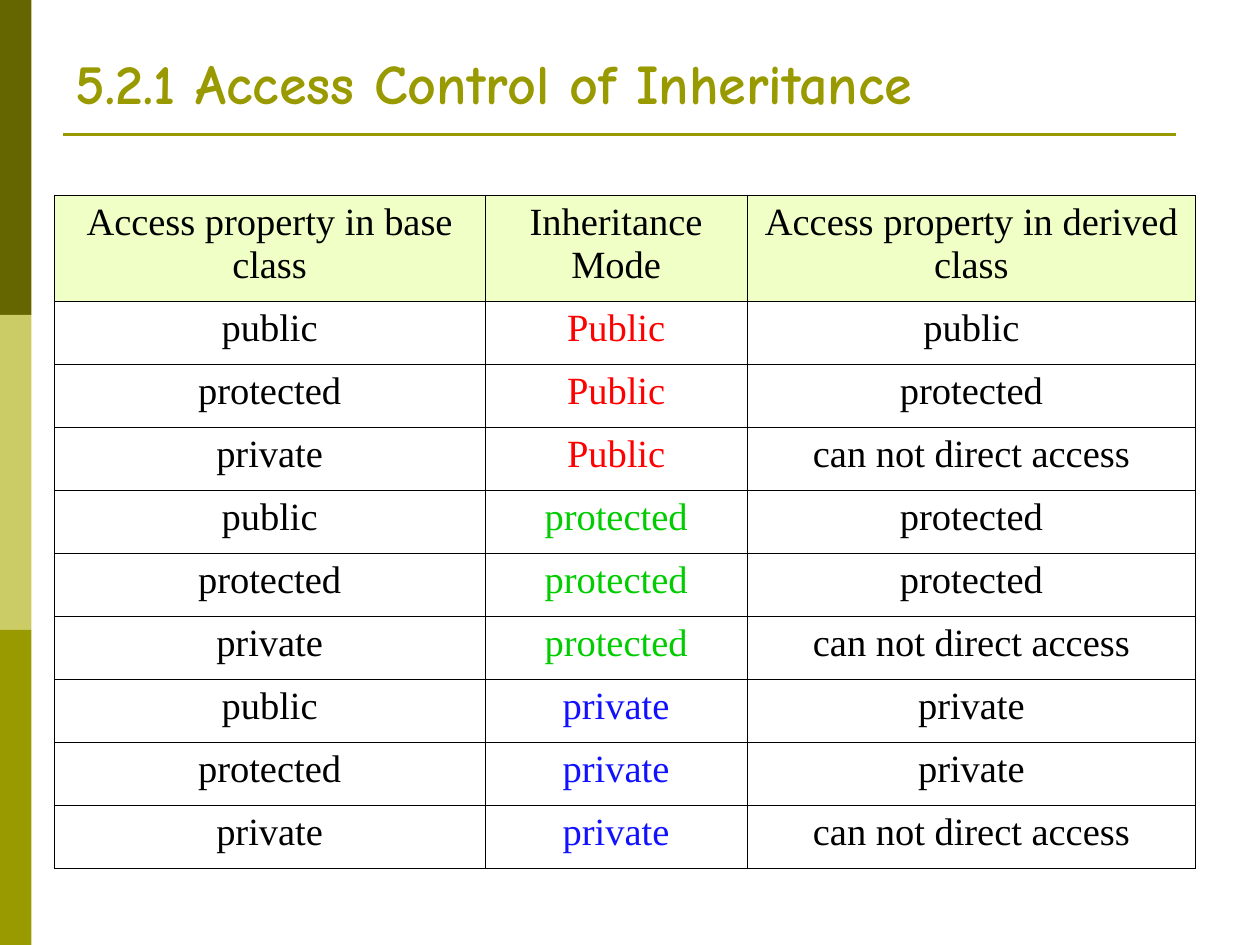
import dataclasses

import pptx
import pptx.dml.color
import pptx.enum.shapes
import pptx.enum.text
import pptx.oxml
import pptx.oxml.ns
import pptx.oxml.xmlchemy
import pptx.util

Inches = pptx.util.Inches
Pt = pptx.util.Pt
ALIGN = pptx.enum.text.PP_ALIGN
ANCHOR = pptx.enum.text.MSO_ANCHOR


@dataclasses.dataclass(frozen=True)
class Theme:
    dark_olive: str = "666600"
    light_olive: str = "CCCC66"
    olive: str = "999900"
    header_fill: str = "F0FFC5"
    text: str = "000000"
    red: str = "FF0000"
    green: str = "00CC00"
    blue: str = "1111FF"
    title_font: str = "Comic Neue"
    body_font: str = "Times New Roman"
    title_size: float = 32
    body_size: float = 22
    rule_width: float = 1.5
    border_width: float = 0.45


THEME = Theme()
HEADINGS = ["Access property in base class", "Inheritance Mode",
            "Access property in derived class"]
BASE_ACCESS = ["public", "protected", "private"]
HIDDEN = "can not direct access"
MODES = [
    ("Public", THEME.red, ["public", "protected", HIDDEN]),
    ("protected", THEME.green, ["protected", "protected", HIDDEN]),
    ("private", THEME.blue, ["private", "private", HIDDEN]),
]


def rgb(color):
    return pptx.dml.color.RGBColor.from_string(color)


def write_text(frame, text, *, font, size, color, bold=False, align=ALIGN.LEFT):
    para = frame.paragraphs[0]
    para.alignment = align
    span = para.add_run()
    span.text = text
    span.font.name = font
    span.font.size = Pt(size)
    span.font.bold = bold
    span.font.color.rgb = rgb(color)


class SlideBuilder:
    def __init__(self, slide, theme):
        self.slide = slide
        self.theme = theme

    def title(self, text, left, top, width, height):
        box = self.slide.shapes.title
        box.left, box.top = Inches(left), Inches(top)
        box.width, box.height = Inches(width), Inches(height)
        frame = box.text_frame
        frame.auto_size = pptx.enum.text.MSO_AUTO_SIZE.NONE
        frame.word_wrap = True
        frame.vertical_anchor = ANCHOR.BOTTOM
        write_text(frame, text, font=self.theme.title_font, bold=True,
                   size=self.theme.title_size, color=self.theme.olive)

    def band(self, color, left, top, width, height):
        shape = self.slide.shapes.add_shape(
            pptx.enum.shapes.MSO_SHAPE.RECTANGLE,
            Inches(left), Inches(top), Inches(width), Inches(height))
        shape.shadow.inherit = False
        shape.fill.solid()
        shape.fill.fore_color.rgb = rgb(color)
        shape.line.fill.background()

    def rule(self, left, right, y):
        line = self.slide.shapes.add_connector(
            pptx.enum.shapes.MSO_CONNECTOR.STRAIGHT,
            Inches(left), Inches(y), Inches(right), Inches(y))
        line.line.color.rgb = rgb(self.theme.olive)
        line.line.width = Pt(self.theme.rule_width)
        line._element.spPr.append(pptx.oxml.xmlchemy.OxmlElement("a:effectLst"))

    def table(self, rows, left, top, widths, heights):
        """Draw rows of (text, colour) pairs; the first row is the header."""
        frame = self.slide.shapes.add_table(
            len(rows), len(widths), Inches(left), Inches(top),
            Inches(sum(widths)), Inches(sum(heights)))
        grid = frame.table
        grid.first_row = grid.horz_banding = False
        for column, width in zip(grid.columns, widths):
            column.width = Inches(width)
        for row, height in zip(grid.rows, heights):
            row.height = Inches(height)
        for row_index, row in enumerate(rows):
            for column_index, (text, color) in enumerate(row):
                cell = grid.cell(row_index, column_index)
                self.cell_borders(cell)
                if row_index == 0:
                    cell.fill.solid()
                    cell.fill.fore_color.rgb = rgb(self.theme.header_fill)
                else:
                    cell.fill.background()
                write_text(cell.text_frame, text, font=self.theme.body_font,
                           size=self.theme.body_size, color=color,
                           align=ALIGN.CENTER)

    def cell_borders(self, cell):
        """Add the four borders; call before the fill, which must follow them."""
        properties = cell._tc.get_or_add_tcPr()
        for side in ("lnL", "lnR", "lnT", "lnB"):
            properties.append(pptx.oxml.parse_xml(
                f'<a:{side} {pptx.oxml.ns.nsdecls("a")} '
                f'w="{int(Pt(self.theme.border_width))}"><a:solidFill>'
                f'<a:srgbClr val="{self.theme.text}"/>'
                f'</a:solidFill></a:{side}>'))


def access_rows(theme):
    rows = [[(heading, theme.text) for heading in HEADINGS]]
    for mode, color, results in MODES:
        for base, derived in zip(BASE_ACCESS, results):
            rows.append([(base, theme.text), (mode, color), (derived, theme.text)])
    return rows


def main():
    deck = pptx.Presentation()
    deck.slide_width, deck.slide_height = Inches(10), Inches(7.5)
    title_only = deck.slide_layouts[5]
    page = SlideBuilder(deck.slides.add_slide(title_only), THEME)

    band_height = 2.5
    for index, color in enumerate([THEME.dark_olive, THEME.light_olive, THEME.olive]):
        page.band(color, 0, index * band_height, 0.25, band_height)
    page.rule(0.5, 9.33, 1.07)
    page.title("5.2.1 Access Control of Inheritance", 0.5, 0.28, 9, 0.69)

    rows = access_rows(THEME)
    page.table(rows, 0.43, 1.55, widths=[3.42, 2.08, 3.56],
               heights=[0.84] + [0.5] * (len(rows) - 1))
    deck.save("out.pptx")


if __name__ == "__main__":
    main()
